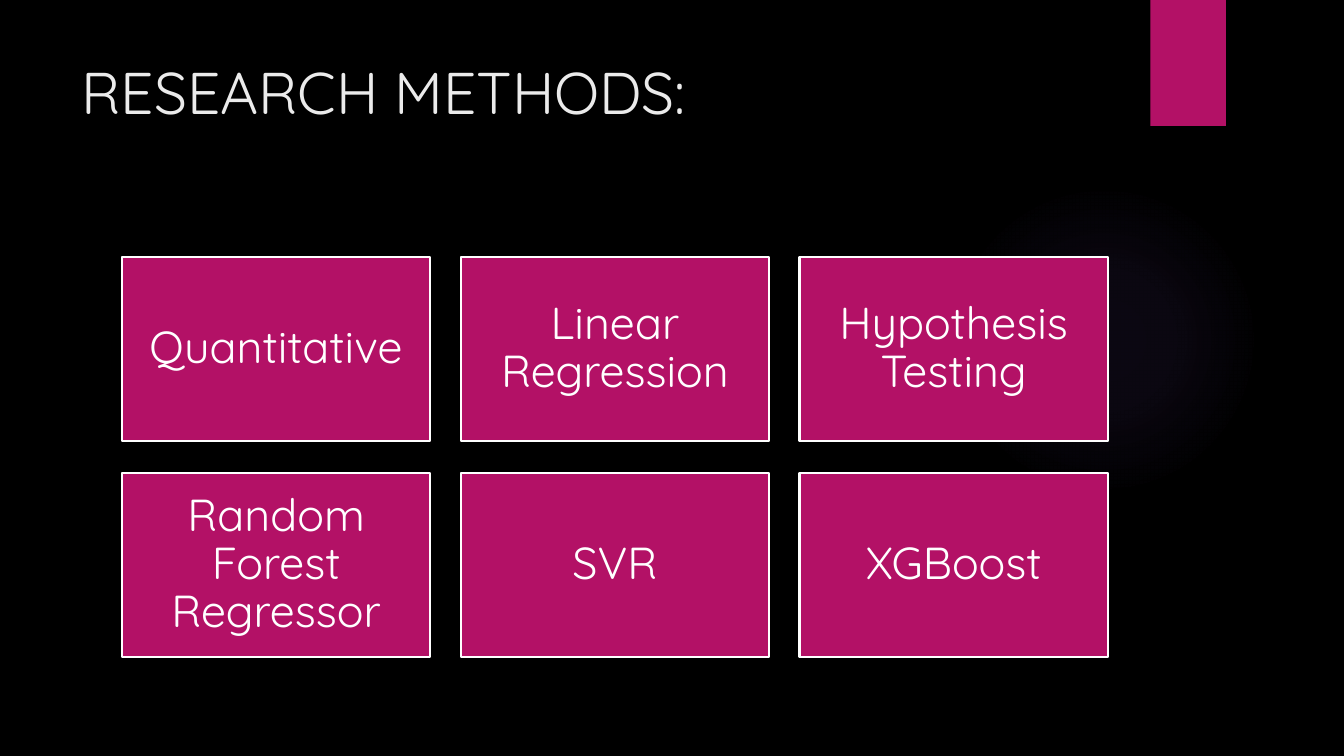
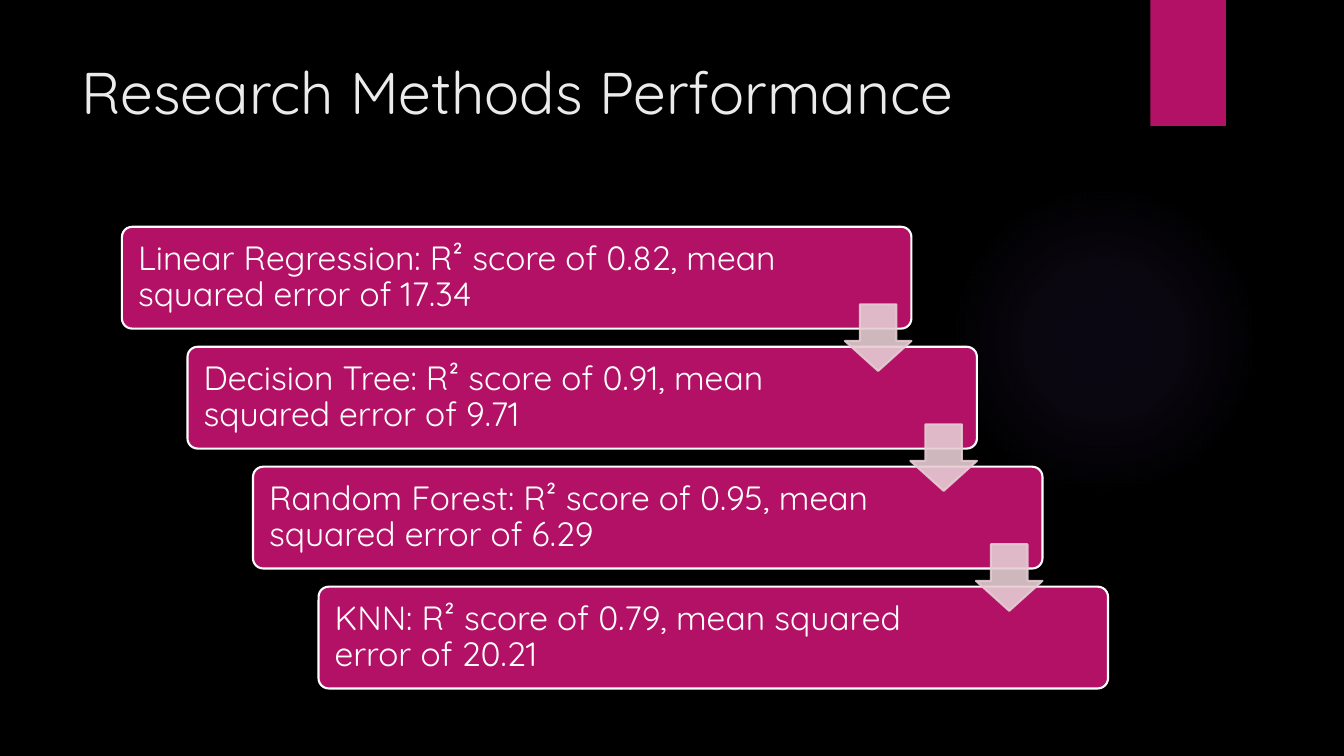
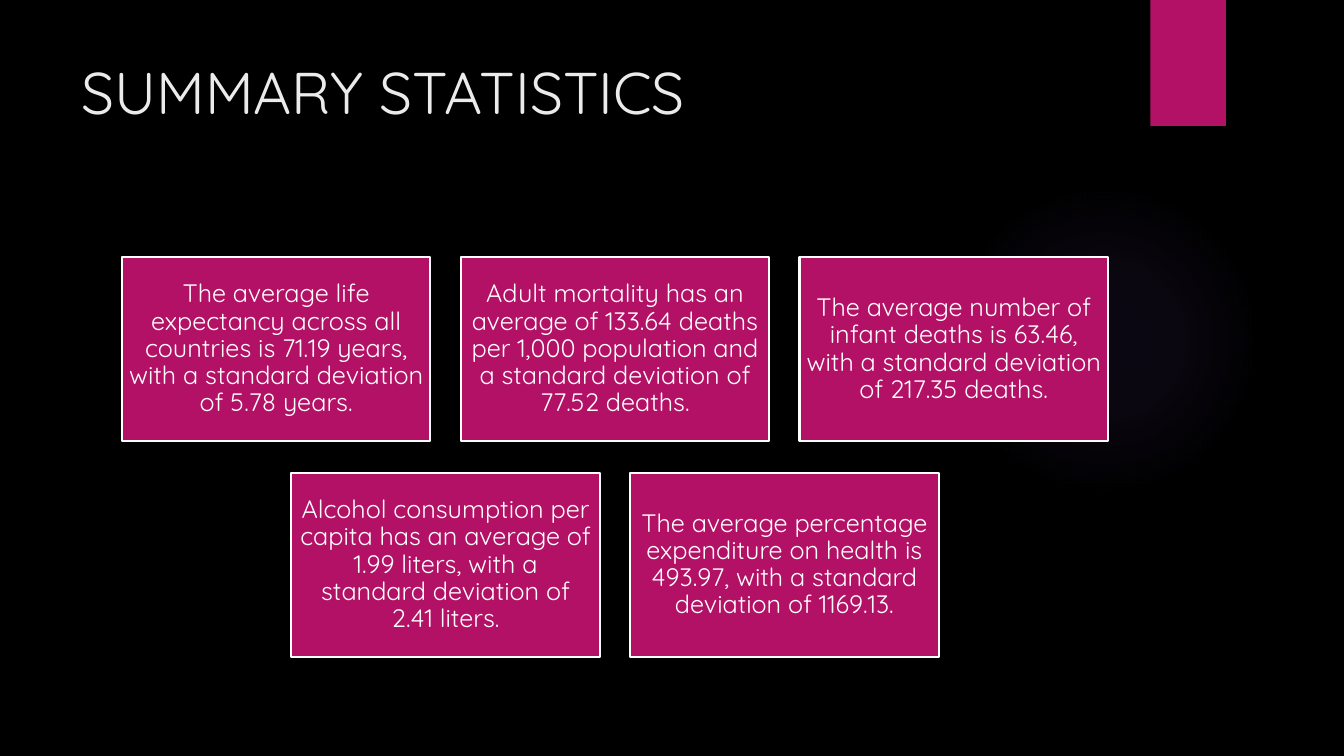
from lxml.etree import SubElement
from pptx import Presentation
from pptx.dml.color import RGBColor
from pptx.enum.shapes import MSO_SHAPE
from pptx.enum.text import MSO_ANCHOR, PP_ALIGN
from pptx.oxml import parse_xml
from pptx.oxml.ns import nsdecls, qn
from pptx.util import Inches, Pt

BLACK = RGBColor(0x00, 0x00, 0x00)
WHITE = RGBColor(0xFF, 0xFF, 0xFF)
TITLE_GRAY = RGBColor(0xEB, 0xEB, 0xEB)
MAGENTA = RGBColor(0xB3, 0x11, 0x66)
PALE_PINK = RGBColor(0xE5, 0xCC, 0xD3)
VIOLET = RGBColor(0x9B, 0x6B, 0xF2)
FONT = "Quicksand"

GLOW_STOPS = "".join(
    f'<a:gs pos="{position}000"><a:srgbClr val="{VIOLET}"><a:alpha val="{alpha}000"/></a:srgbClr></a:gs>'
    for position, alpha in ((0, 7), (36, 6), (69, 0))
)
GLOW_FILL = (
    f'<a:gradFill {nsdecls("a")}><a:gsLst>{GLOW_STOPS}</a:gsLst>'
    '<a:path path="circle"><a:fillToRect l="50000" t="50000" r="50000" b="50000"/></a:path>'
    "</a:gradFill>"
)

deck = Presentation()
deck.slide_width = Inches(13.33)
deck.slide_height = Inches(7.5)
background = deck.slide_master.background.fill
background.solid()
background.fore_color.rgb = BLACK


def add_page(title):
    """Add a slide with the glow, the corner tab and the title."""
    page = deck.slides.add_slide(deck.slide_layouts[6])

    glow = page.shapes.add_shape(
        MSO_SHAPE.OVAL, Inches(9.41), Inches(1.83), Inches(3.08), Inches(3.08))
    glow.shadow.inherit = False
    glow.line.fill.background()
    glow.fill.background()
    no_fill = glow._element.spPr.find(qn("a:noFill"))
    no_fill.getparent().replace(no_fill, parse_xml(GLOW_FILL))

    tab = page.shapes.add_shape(
        MSO_SHAPE.RECTANGLE, Inches(11.41), 0, Inches(0.75), Inches(1.25))
    tab.shadow.inherit = False
    tab.line.fill.background()
    tab.fill.solid()
    tab.fill.fore_color.rgb = MAGENTA

    box = page.shapes.add_textbox(Inches(0.71), Inches(0.5), Inches(10.29), Inches(1.53))
    box.text_frame.word_wrap = True
    para = box.text_frame.paragraphs[0]
    para.text = title
    para.font.name = FONT
    para.font.size = Pt(42)
    para.font.color.rgb = TITLE_GRAY
    return page


def add_panel(page, kind, left, top, width, height, text, size, inset, align):
    """Add a magenta panel with a white outline; lengths are in inches."""
    panel = page.shapes.add_shape(
        kind, Inches(left), Inches(top), Inches(width), Inches(height))
    panel.shadow.inherit = False
    panel.fill.solid()
    panel.fill.fore_color.rgb = MAGENTA
    panel.line.color.rgb = WHITE
    panel.line.width = Pt(1.5)
    frame = panel.text_frame
    frame.word_wrap = True
    frame.vertical_anchor = MSO_ANCHOR.MIDDLE
    frame.margin_left = frame.margin_right = Inches(inset)
    frame.margin_top = frame.margin_bottom = Inches(inset)
    para = frame.paragraphs[0]
    para.text = text
    para.alignment = align
    para.line_spacing = 0.9
    para.font.name = FONT
    para.font.size = Pt(size)
    para.font.color.rgb = WHITE
    return panel


# Slides with rows of cards, and the slide of steps between them
CONTENT_LEFT, CONTENT_WIDTH = 1.21, 9.78
CARD_WIDTH, CARD_HEIGHT, CARD_GAP = 3.06, 1.83, 0.3
CARD_TOP, ROW_PITCH = 2.55, 2.14

methods_page = add_page("RESEARCH METHODS:")
performance_page = add_page("Research Methods Performance")
summary_page = add_page("SUMMARY STATISTICS")

method_rows = [
    ["Quantitative", "Linear Regression", "Hypothesis Testing"],
    ["Random Forest Regressor", "SVR", "XGBoost"],
]
summary_rows = [
    [
        "The average life expectancy across all countries is 71.19 years, with a standard deviation of 5.78 years.",
        "Adult mortality has an average of 133.64 deaths per 1,000 population and a standard deviation of 77.52 deaths.",
        "The average number of infant deaths is 63.46, with a standard deviation of 217.35 deaths.",
    ],
    [
        "Alcohol consumption per capita has an average of 1.99 liters, with a standard deviation of 2.41 liters.",
        "The average percentage expenditure on health is 493.97, with a standard deviation of 1169.13.",
    ],
]

for page, rows, size, inset in (
    (methods_page, method_rows, 32, 0.13),
    (summary_page, summary_rows, 18, 0.07),
):
    for row, texts in enumerate(rows):
        row_width = len(texts) * (CARD_WIDTH + CARD_GAP) - CARD_GAP
        row_left = CONTENT_LEFT + (CONTENT_WIDTH - row_width) / 2
        for column, text in enumerate(texts):
            add_panel(
                page, MSO_SHAPE.RECTANGLE,
                row_left + column * (CARD_WIDTH + CARD_GAP), CARD_TOP + row * ROW_PITCH,
                CARD_WIDTH, CARD_HEIGHT, text, size, inset, PP_ALIGN.CENTER)

# Staircase of model scores: text and right inset
STEP_WIDTH, STEP_HEIGHT = 7.83, 1.01
STEP_TOP, STEP_SHIFT, STEP_PITCH = 2.25, 0.65, 1.19
ARROW_SIZE, ARROW_DROP = 0.66, 0.77

steps = [
    ("Linear Regression: R² score of 0.82, mean squared error of 17.34", 1.25),
    ("Decision Tree: R² score of 0.91, mean squared error of 9.71", 1.44),
    ("Random Forest: R² score of 0.95, mean squared error of 6.29", 1.44),
    ("KNN: R² score of 0.79, mean squared error of 20.21", 1.44),
]
for index, (text, right_inset) in enumerate(steps):
    step = add_panel(
        performance_page, MSO_SHAPE.ROUNDED_RECTANGLE,
        CONTENT_LEFT + index * STEP_SHIFT, STEP_TOP + index * STEP_PITCH,
        STEP_WIDTH, STEP_HEIGHT, text, 24, 0.13, PP_ALIGN.LEFT)
    step.adjustments[0] = 0.1
    step.text_frame.margin_right = Inches(right_inset)

for index in range(len(steps) - 1):
    arrow = performance_page.shapes.add_shape(
        MSO_SHAPE.DOWN_ARROW,
        Inches(CONTENT_LEFT + index * STEP_SHIFT + STEP_WIDTH - ARROW_SIZE),
        Inches(STEP_TOP + index * STEP_PITCH + ARROW_DROP),
        Inches(ARROW_SIZE), Inches(ARROW_SIZE))
    arrow.adjustments[0] = 0.55
    arrow.adjustments[1] = 0.45
    arrow.shadow.inherit = False
    arrow.fill.solid()
    arrow.fill.fore_color.rgb = PALE_PINK
    arrow.line.color.rgb = PALE_PINK
    arrow.line.width = Pt(1.5)
    for color in arrow._element.spPr.iter(qn("a:srgbClr")):
        SubElement(color, qn("a:alpha"), val="90000")

deck.save("out.pptx")
